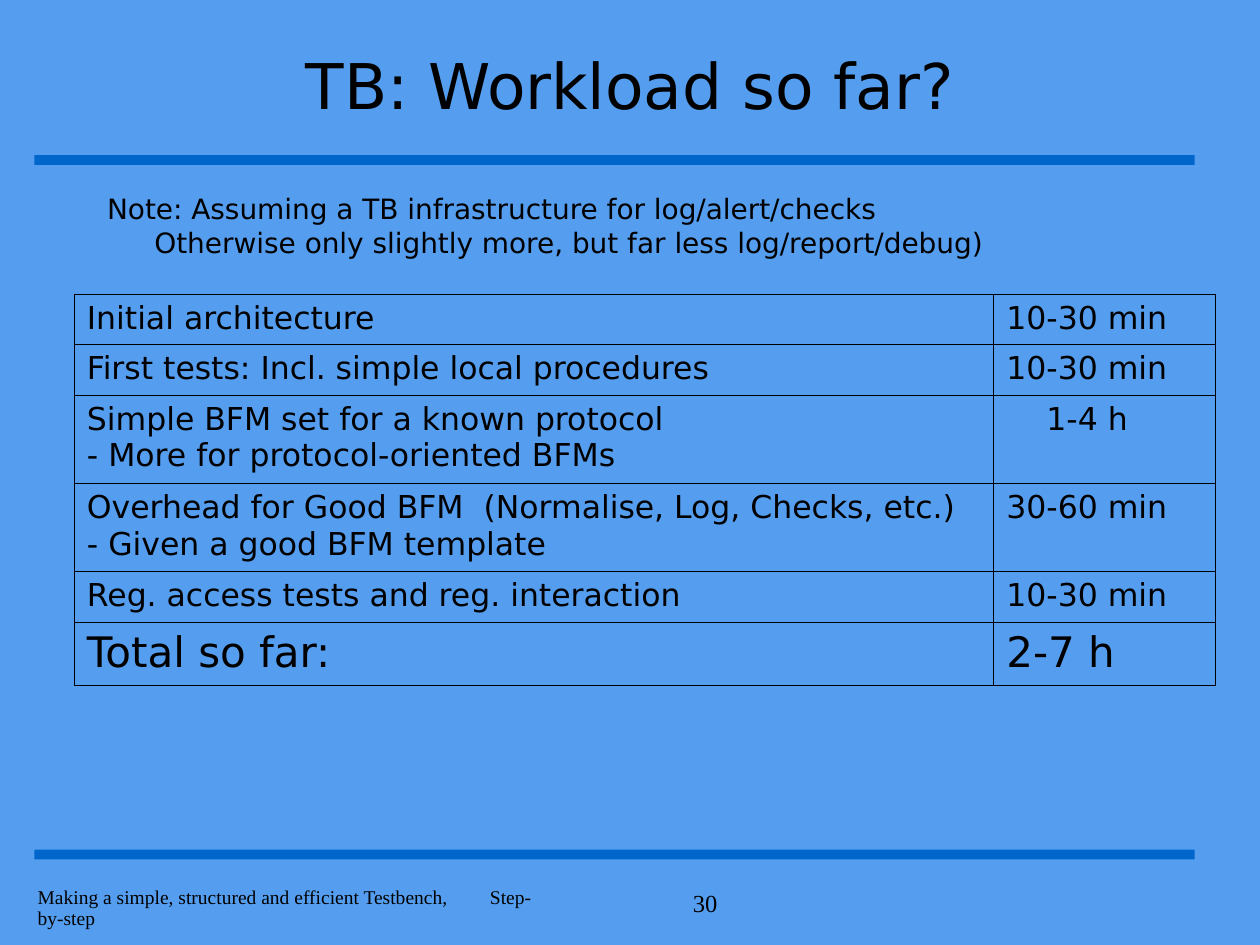
from dataclasses import dataclass
from typing import NamedTuple

from lxml import etree
from pptx import Presentation
from pptx.dml.color import RGBColor
from pptx.enum.shapes import MSO_SHAPE
from pptx.enum.text import MSO_ANCHOR, MSO_AUTO_SIZE, PP_ALIGN
from pptx.oxml.ns import qn
from pptx.util import Pt

RECTANGLE = MSO_SHAPE.RECTANGLE
TOP, MIDDLE = MSO_ANCHOR.TOP, MSO_ANCHOR.MIDDLE
LEFT, CENTER, RIGHT = PP_ALIGN.LEFT, PP_ALIGN.CENTER, PP_ALIGN.RIGHT
NO_AUTOFIT = MSO_AUTO_SIZE.NONE


@dataclass(frozen=True)
class Theme:
    background: str = "559EEF"
    bar: str = "0066CC"
    ink: str = "000000"
    sans: str = "DejaVu Sans"
    serif: str = "Times New Roman"
    title: float = 36
    total: float = 24
    task: float = 18
    note: float = 16
    number: float = 14
    footer: float = 11.1
    border: float = 0.45


class Area(NamedTuple):
    left: float
    top: float
    width: float
    height: float


class Task(NamedTuple):
    name: str
    effort: str
    height: float = 28.8
    size: float = 18
    indent: float = 0


THEME = Theme()
BARS = [Area(19.6, top, 663.1, 5.6) for top in (88.6, 485.5)]
TITLE = Area(54, 18, 612, 59.8)
NOTE = Area(54, 106, 618, 57)
FOOTER = Area(14.4, 504, 300, 36)
NUMBER = Area(360, 504, 57, 36)
TABLE = Area(42.5, 168, 652.3, 223.2)
COLUMNS = (525.4, 126.9)
FOOTER_TAB = 258.5
NOTE_INDENT = 27
TASKS = [
    Task("Initial architecture", "10-30 min"),
    Task("First tests: Incl. simple local procedures", "10-30 min"),
    Task("Simple BFM set for a known protocol\n- More for protocol-oriented BFMs",
         "1-4 h", 50.4, indent=22.9),
    Task("Overhead for Good BFM  (Normalise, Log, Checks, etc.)\n"
         "- Given a good BFM template", "30-60 min", 50.4),
    Task("Reg. access tests and reg. interaction", "10-30 min"),
    Task("Total so far:", "2-7 h", 36, THEME.total),
]


def place(shape, area: Area) -> None:
    shape.left, shape.top, shape.width, shape.height = map(Pt, area)


def write(frame, text: str, size: float, font: str = THEME.sans,
          align=LEFT, anchor=TOP):
    frame.word_wrap = True
    frame.vertical_anchor = anchor
    para = frame.paragraphs[0]
    para.text = text
    para.alignment = align
    para.space_before = Pt(0)
    para.font.size = Pt(size)
    para.font.name = font
    para.font.color.rgb = RGBColor.from_string(THEME.ink)
    return para


def set_indent(para, margin: float, first: float = 0) -> None:
    properties = para._p.get_or_add_pPr()
    properties.set("marL", str(Pt(margin)))
    properties.set("indent", str(Pt(first)))


def add_bar(slide, area: Area) -> None:
    bar = slide.shapes.add_shape(RECTANGLE, *map(Pt, area))
    bar.shadow.inherit = False
    bar.fill.solid()
    bar.fill.fore_color.rgb = RGBColor.from_string(THEME.bar)
    bar.line.fill.background()


def add_footer(slide) -> None:
    box = slide.shapes.add_textbox(*map(Pt, FOOTER))
    para = box.text_frame.paragraphs[0]
    tabs = etree.SubElement(para._p.get_or_add_pPr(), qn("a:tabLst"))
    etree.SubElement(tabs, qn("a:tab"), pos=str(Pt(FOOTER_TAB)), algn="l")
    write(box.text_frame,
          "Making a simple, structured and efficient Testbench,\tStep-by-step",
          THEME.footer, THEME.serif)
    para.line_spacing = 0.9


def add_number(slide) -> None:
    box = slide.shapes.add_textbox(*map(Pt, NUMBER))
    write(box.text_frame, "30", THEME.number, THEME.serif, RIGHT)


def fill_title(title) -> None:
    place(title, TITLE)
    title.text_frame.auto_size = NO_AUTOFIT
    write(title.text_frame, "TB: Workload so far?", THEME.title,
          align=CENTER, anchor=MIDDLE)


def fill_note(body) -> None:
    place(body, NOTE)
    body.text_frame.auto_size = NO_AUTOFIT
    para = body.text_frame.paragraphs[0]
    etree.SubElement(para._p.get_or_add_pPr(), qn("a:buNone"))
    write(body.text_frame,
          "Note: Assuming a TB infrastructure for log/alert/checks\n"
          "Otherwise only slightly more, but far less log/report/debug)",
          THEME.note)
    set_indent(para, NOTE_INDENT, -NOTE_INDENT)


def add_borders(cell) -> None:
    properties = cell._tc.get_or_add_tcPr()
    for index, side in enumerate(("a:lnL", "a:lnR", "a:lnT", "a:lnB")):
        line = etree.Element(qn(side), w=str(Pt(THEME.border)))
        fill = etree.SubElement(line, qn("a:solidFill"))
        etree.SubElement(fill, qn("a:srgbClr"), val=THEME.ink)
        properties.insert(index, line)


def add_workload(slide, tasks: list[Task]) -> None:
    frame = slide.shapes.add_table(len(tasks), len(COLUMNS), *map(Pt, TABLE))
    table = frame.table
    table.first_row = table.horz_banding = False
    for column, width in zip(table.columns, COLUMNS):
        column.width = Pt(width)
    for row, task in zip(table.rows, tasks):
        row.height = Pt(task.height)
        for cell, text in zip(row.cells, (task.name, task.effort)):
            cell.fill.background()
            cell.margin_left = cell.margin_right = Pt(7.2)
            cell.margin_top = cell.margin_bottom = Pt(3.6)
            para = write(cell.text_frame, text, task.size)
            add_borders(cell)
        set_indent(para, task.indent)


def main() -> None:
    deck = Presentation()
    deck.slide_width, deck.slide_height = Pt(720), Pt(540)
    slide = deck.slides.add_slide(deck.slide_layouts[1])
    slide.background.fill.solid()
    slide.background.fill.fore_color.rgb = RGBColor.from_string(THEME.background)
    for area in BARS:
        add_bar(slide, area)
    add_footer(slide)
    add_number(slide)
    fill_title(slide.shapes.title)
    fill_note(slide.placeholders[1])
    add_workload(slide, TASKS)
    deck.save("out.pptx")


if __name__ == "__main__":
    main()
